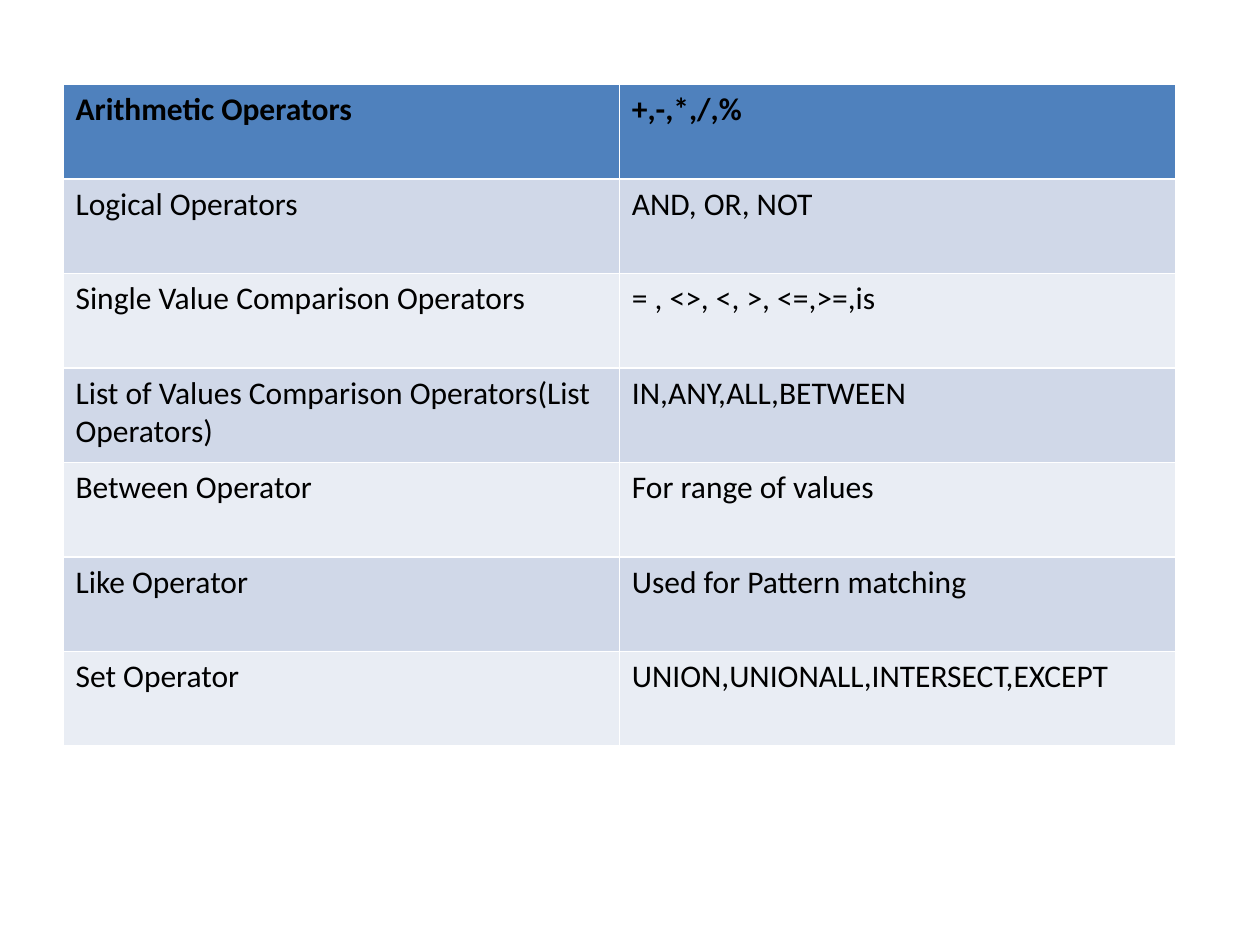
from dataclasses import dataclass

from pptx import Presentation
from pptx.dml.color import RGBColor
from pptx.table import _Cell
from pptx.util import Inches, Pt


@dataclass(frozen=True)
class Entry:
    name: str
    usage: str


HEAD = "4F81BD"
BANDS = ("E9EDF4", "D0D8E8")
INK = "000000"

ENTRIES = [
    Entry("Arithmetic Operators", "+,-,*,/,%"),
    Entry("Logical Operators", "AND, OR, NOT"),
    Entry("Single Value Comparison Operators", "= , <>, <, >, <=,>=,is"),
    Entry("List of Values Comparison Operators(List Operators)", "IN,ANY,ALL,BETWEEN"),
    Entry("Between Operator", "For range of values"),
    Entry("Like Operator", "Used for Pattern matching"),
    Entry("Set Operator", "UNION,UNIONALL,INTERSECT,EXCEPT"),
]


def color(code: str) -> RGBColor:
    return RGBColor.from_string(code)


def draw_cell(cell: _Cell, text: str, fill: str, bold: bool) -> None:
    cell.fill.solid()
    cell.fill.fore_color.rgb = color(fill)
    cell.text = text
    font = cell.text_frame.paragraphs[0].font
    font.name = "Calibri"
    font.size = Pt(18)
    font.bold = bold
    font.color.rgb = color(INK)


def main() -> None:
    deck = Presentation()
    deck.slide_width = Inches(10)
    deck.slide_height = Inches(7.5)
    slide = deck.slides.add_slide(deck.slide_layouts[6])

    table = slide.shapes.add_table(
        len(ENTRIES), 2, Inches(0.5), Inches(0.67), Inches(8.83), Inches(5.25)
    ).table
    for row, entry in enumerate(ENTRIES):
        head = row == 0
        fill = HEAD if head else BANDS[row % 2]
        for col, text in enumerate((entry.name, entry.usage)):
            draw_cell(table.cell(row, col), text, fill, head)

    deck.save("out.pptx")


if __name__ == "__main__":
    main()
